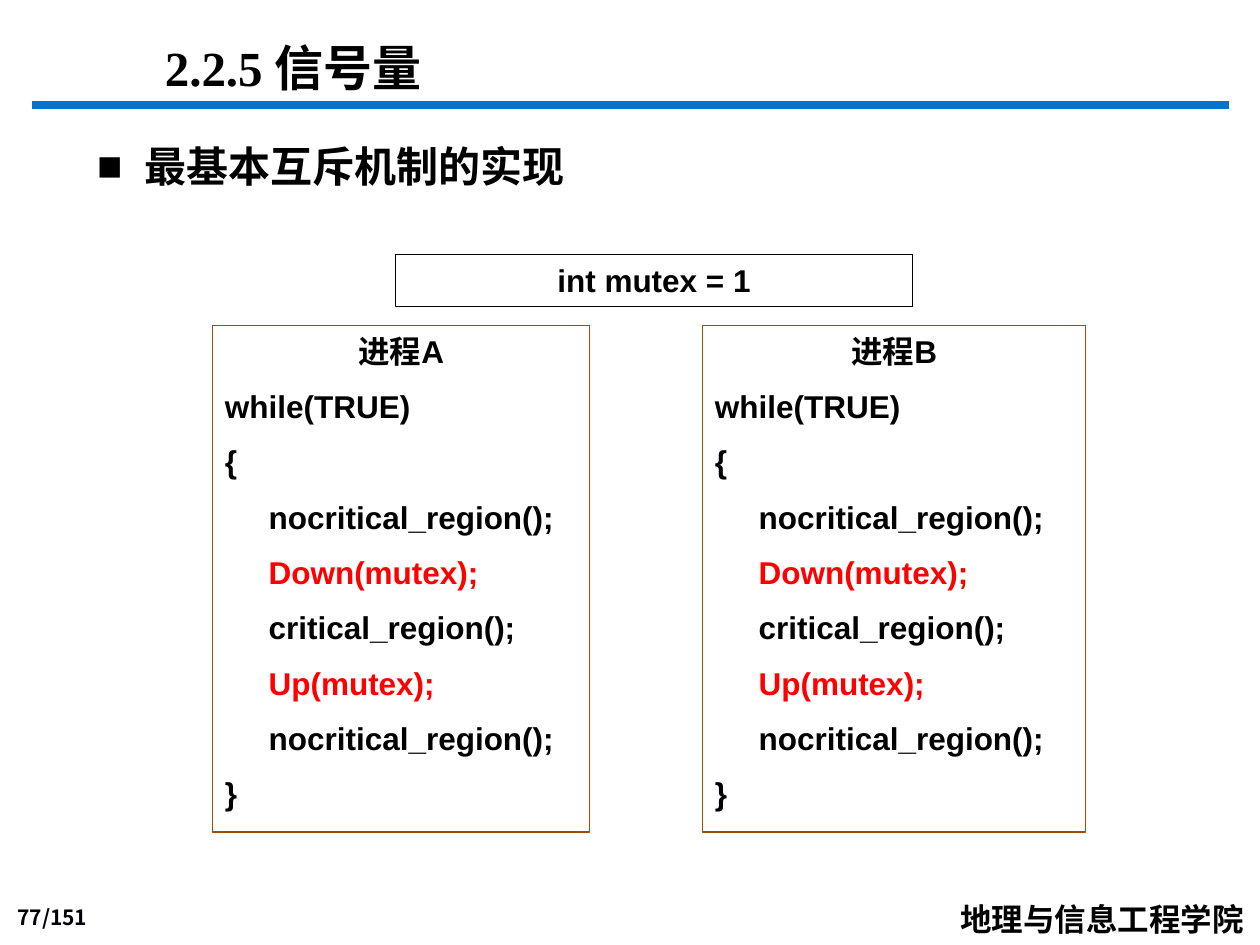
"""Build the slide on mutual exclusion of two processes with a semaphore."""
from lxml import etree
from pptx import Presentation
from pptx.dml.color import RGBColor
from pptx.enum.shapes import MSO_CONNECTOR, MSO_SHAPE
from pptx.enum.text import MSO_ANCHOR, PP_ALIGN
from pptx.oxml.ns import qn
from pptx.util import Pt

BLACK = RGBColor(0x00, 0x00, 0x00)
NUMBER_INK = RGBColor(0x00, 0x00, 0x08)
RED = RGBColor(0xFF, 0x00, 0x00)
BLUE = RGBColor(0x05, 0x74, 0xD0)
BROWN = RGBColor(0x9C, 0x4E, 0x00)

CODE = [
    "while(TRUE)",
    "{",
    "     nocritical_region();",
    "     Down(mutex);",
    "     critical_region();",
    "     Up(mutex);",
    "     nocritical_region();",
    "}",
]
SEMAPHORE_CALLS = ("Down", "Up")


def write(paragraph, text, size, font="Arial", color=BLACK, align=PP_ALIGN.LEFT):
    paragraph.text = text
    paragraph.alignment = align
    paragraph.font.size = Pt(size)
    paragraph.font.name = font
    paragraph.font.bold = True
    paragraph.font.color.rgb = color


def add_frame(left, top, width, height, line_color):
    frame = slide.shapes.add_shape(
        MSO_SHAPE.RECTANGLE, Pt(left), Pt(top), Pt(width), Pt(height))
    frame.shadow.inherit = False
    frame.fill.background()
    frame.line.color.rgb = line_color
    frame.line.width = Pt(0.75)
    frame.text_frame.word_wrap = True
    frame.text_frame.vertical_anchor = MSO_ANCHOR.TOP
    return frame.text_frame


prs = Presentation()
prs.slide_width, prs.slide_height = Pt(720), Pt(540)
slide = prs.slides.add_slide(prs.slide_layouts[5])

title = slide.shapes.title
title.left, title.top, title.width, title.height = Pt(87), Pt(18), Pt(572.5), Pt(41)
title.text_frame.vertical_anchor = MSO_ANCHOR.MIDDLE
write(title.text_frame.paragraphs[0], "2.2.5 信号量", 28, "Times New Roman")

rule = slide.shapes.add_connector(
    MSO_CONNECTOR.STRAIGHT, Pt(18), Pt(60.2), Pt(702), Pt(60.2))
rule.line.color.rgb = BLUE
rule.line.width = Pt(4.5)
etree.SubElement(rule._element.spPr, qn("a:effectLst"))

page_number = slide.shapes.add_textbox(Pt(0), Pt(514), Pt(57), Pt(21)).text_frame
page_number.vertical_anchor = MSO_ANCHOR.BOTTOM
page_number.word_wrap = True
write(page_number.paragraphs[0], "77/151", 12, "Noto Sans CJK JP", NUMBER_INK, PP_ALIGN.RIGHT)

school = slide.shapes.add_textbox(Pt(541.5), Pt(510.5), Pt(178), Pt(29)).text_frame
school.word_wrap = False
write(school.paragraphs[0], "地理与信息工程学院", 18, "Noto Sans CJK SC")

topic = slide.shapes.add_textbox(Pt(48.5), Pt(77), Pt(556), Pt(36)).text_frame
topic.word_wrap = True
topic_line = topic.paragraphs[0]
topic_format = topic_line._p.get_or_add_pPr()
topic_format.set("marL", str(Pt(27)))
topic_format.set("indent", str(-Pt(27)))
etree.SubElement(topic_format, qn("a:buFont"), typeface="Arial")
etree.SubElement(topic_format, qn("a:buChar"), char="■")
write(topic_line, "最基本互斥机制的实现", 24)

mutex = add_frame(226, 145.5, 295.5, 29.5, BLACK)
write(mutex.paragraphs[0], "int mutex = 1", 18, align=PP_ALIGN.CENTER)

for name, left, width in [("进程A", 121.5, 215.5), ("进程B", 401.5, 219)]:
    process = add_frame(left, 186, width, 289.5, BROWN)
    write(process.paragraphs[0], name, 18, align=PP_ALIGN.CENTER)
    for code_line in CODE:
        statement = process.add_paragraph()
        is_call = code_line.strip().startswith(SEMAPHORE_CALLS)
        write(statement, code_line, 18, color=RED if is_call else BLACK)
        statement.space_before = Pt(10)

prs.save("out.pptx")
